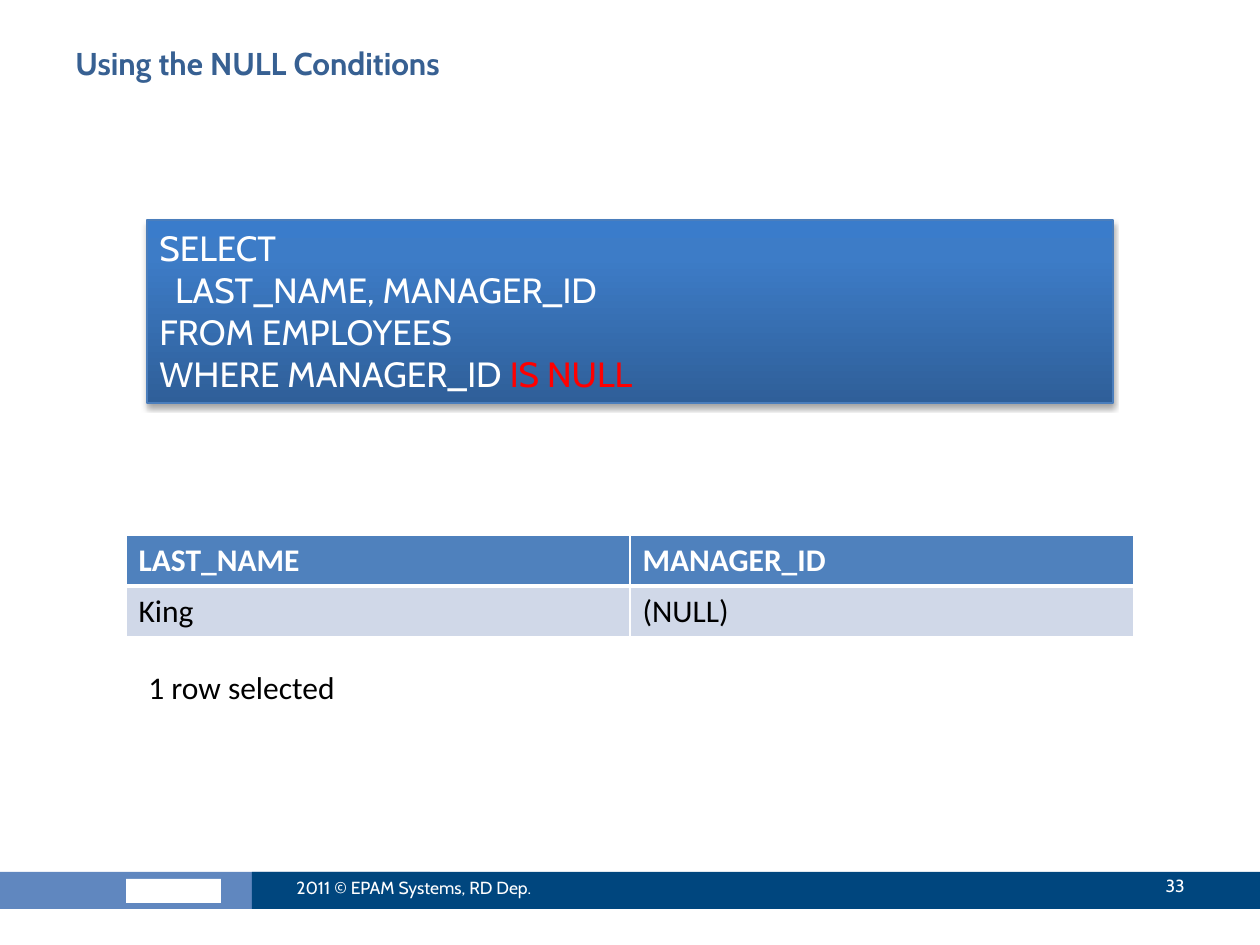
from dataclasses import dataclass

from pptx import Presentation
from pptx.dml.color import RGBColor
from pptx.enum.shapes import MSO_SHAPE
from pptx.enum.text import MSO_ANCHOR, PP_ALIGN
from pptx.oxml import parse_xml
from pptx.oxml.ns import nsdecls
from pptx.util import Emu, Pt

SCALE = 914400 / 126


@dataclass(frozen=True)
class Theme:
    """Hold the colours, fonts and type sizes."""
    white: str = "FFFFFF"
    black: str = "000000"
    red: str = "FF0000"
    title: str = "376092"
    navy: str = "00467E"
    sky: str = "6087BF"
    head: str = "4F81BD"
    row: str = "D0D8E8"
    edge: str = "4B7EBC"
    grad: tuple = ((0, "2F5F99"), (80, "3D7CC7"), (100, "3A7CCB"))
    sans: str = "Cabin"
    body: str = "Calibri"
    small: int = 10
    text: int = 18
    code: int = 20


THEME = Theme()


def px(*nums):
    """Turn px into EMU."""
    return [Emu(round(num * SCALE)) for num in nums]


def rgb(code):
    """Make a colour from its hex code."""
    return RGBColor.from_string(code)


def put(item, **values):
    """Set each given attribute on an item."""
    for key, value in values.items():
        setattr(item, key, value)


def add_run(para, text, color, **look):
    """Add one styled run to a paragraph."""
    run = para.add_run()
    run.text = text
    put(run.font, **look)
    run.font.color.rgb = rgb(color)


def add_text(slide, box, text, color, look, frame=None, align=None):
    """Add a text box of one line."""
    area = slide.shapes.add_textbox(*px(*box)).text_frame
    put(area, **{"word_wrap": True, **(frame or {})})
    para = area.paragraphs[0]
    para.alignment = align
    add_run(para, text, color, **look)


def add_block(slide, box, color):
    """Add a plain filled rectangle."""
    shape = slide.shapes.add_shape(MSO_SHAPE.RECTANGLE, *px(*box))
    shape.shadow.inherit = False
    shape.fill.solid()
    shape.fill.fore_color.rgb = rgb(color)
    shape.line.fill.background()
    return shape


def shade(shape):
    """Give a shape the theme gradient and a soft shadow."""
    stops = "".join(
        f'<a:gs pos="{pos * 1000}"><a:srgbClr val="{color}"/></a:gs>'
        for pos, color in THEME.grad)
    grad = parse_xml(
        f'<a:gradFill {nsdecls("a")} rotWithShape="1"><a:gsLst>{stops}</a:gsLst>'
        '<a:lin ang="16200000" scaled="0"/></a:gradFill>')
    blur, drop = Pt(3.1), Pt(1.8)
    glow = parse_xml(
        f'<a:outerShdw {nsdecls("a")} blurRad="{blur}" dist="{drop}" dir="5400000"'
        f' rotWithShape="0"><a:srgbClr val="{THEME.black}">'
        '<a:alpha val="35000"/></a:srgbClr></a:outerShdw>')
    props = shape.element.spPr
    solid = props.find("{*}solidFill")
    props.replace(solid, grad)
    props.find("{*}effectLst").append(glow)


def add_code(slide, box, lines):
    """Add the shaded panel with its lines of code."""
    shape = add_block(slide, box, THEME.edge)
    shape.line.color.rgb = rgb(THEME.edge)
    shape.line.width = Pt(0.75)
    shade(shape)
    area = shape.text_frame
    put(area, word_wrap=True, vertical_anchor=MSO_ANCHOR.TOP)
    for num, line in enumerate(lines):
        para = area.add_paragraph() if num else area.paragraphs[0]
        para.alignment = PP_ALIGN.LEFT
        for text, color in line:
            add_run(para, text, color, name=THEME.sans, size=Pt(THEME.code))


def add_edges(cell, widths):
    """Add white borders to a cell."""
    props = cell._tc.get_or_add_tcPr()
    for side, width in widths.items():
        props.append(parse_xml(
            f'<a:ln{side} {nsdecls("a")} w="{Pt(width)}"><a:solidFill>'
            f'<a:srgbClr val="{THEME.white}"/></a:solidFill></a:ln{side}>'))


def add_grid(slide, box, rows):
    """Add the result table with a header row."""
    grid = slide.shapes.add_table(len(rows), len(rows[0]), *px(*box)).table
    for num, row in enumerate(rows):
        head = num == 0
        for col, text in enumerate(row):
            cell = grid.cell(num, col)
            add_edges(cell, {"L": 1, "R": 1, "T": 1 if head else 3,
                             "B": 3 if head else 1})
            cell.fill.solid()
            cell.fill.fore_color.rgb = rgb(THEME.head if head else THEME.row)
            add_run(cell.text_frame.paragraphs[0], text,
                    THEME.white if head else THEME.black,
                    name=THEME.body, size=Pt(THEME.text), bold=head)


def add_foot(slide):
    """Add the footer band with its mark, notice and number."""
    for box, color in (((0, 872, 430, 37), THEME.sky),
                       ((126, 879, 95, 24), THEME.white),
                       ((252, 872, 1008, 37), THEME.navy)):
        add_block(slide, box, color)
    look = {"name": THEME.sans, "size": Pt(THEME.small)}
    frame = {"vertical_anchor": MSO_ANCHOR.MIDDLE}
    for box, text, align in (
            ((284, 863, 336, 50), "2011 © EPAM Systems, RD Dep.", PP_ALIGN.LEFT),
            ((1061, 861, 136, 50), "33", PP_ALIGN.RIGHT)):
        add_text(slide, box, text, THEME.white, look, frame, align)


def main():
    """Build the slide and save it."""
    deck = Presentation()
    deck.slide_width, deck.slide_height = px(1260, 945)
    slide = deck.slides.add_slide(deck.slide_layouts[6])
    add_foot(slide)
    add_text(slide, (63, 38, 1134, 98), "Using the NULL Conditions", THEME.title,
             {"name": THEME.sans, "size": Pt(THEME.text), "bold": True})
    add_grid(slide, (126, 535, 1008, 102),
             (("LAST_NAME", "MANAGER_ID"), ("King", "(NULL)")))
    add_code(slide, (147, 220, 966, 183), (
        (("SELECT", THEME.white),),
        (("  LAST_NAME, MANAGER_ID", THEME.white),),
        (("FROM EMPLOYEES", THEME.white),),
        (("WHERE MANAGER_ID ", THEME.white), ("IS NULL", THEME.red))))
    add_text(slide, (136, 662, 231, 51), "1 row selected", THEME.black,
             {"name": THEME.body, "size": Pt(THEME.text)}, {"word_wrap": False})
    deck.save("out.pptx")


if __name__ == "__main__":
    main()
